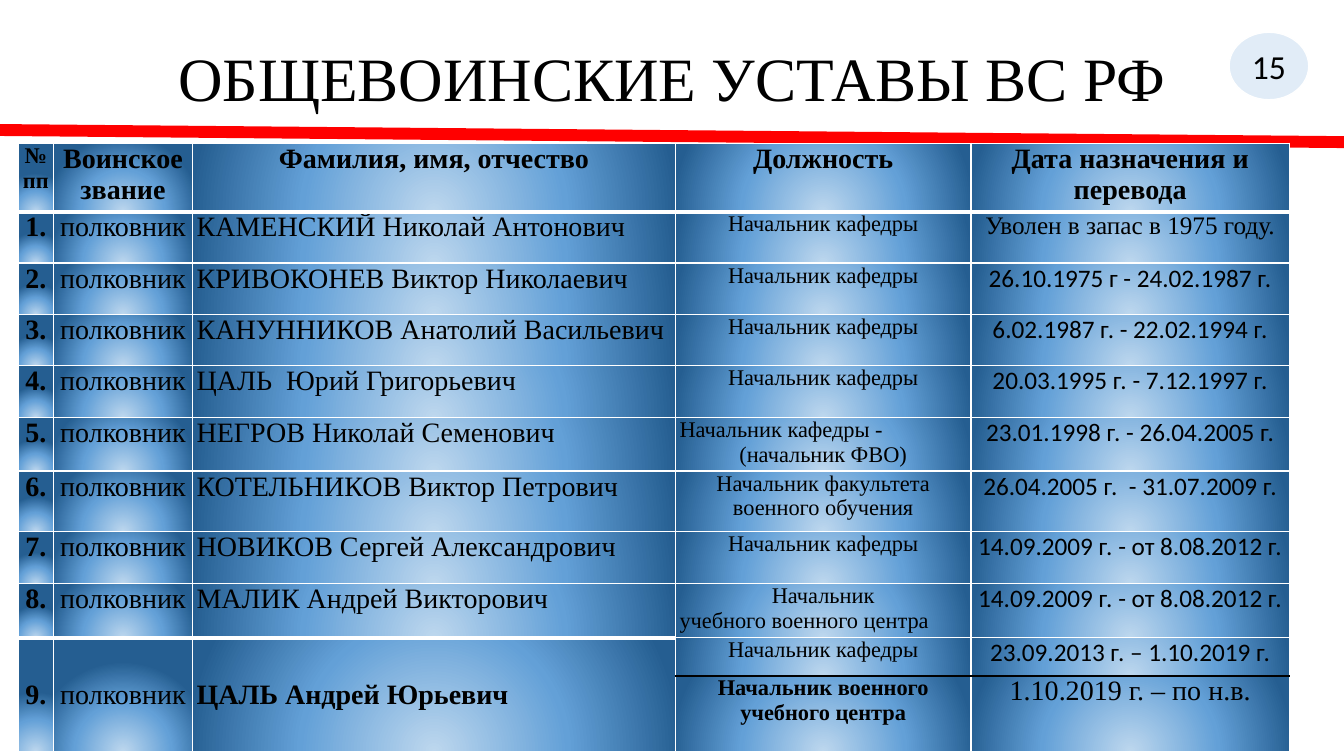
from dataclasses import dataclass

from pptx import Presentation
from pptx.dml.color import RGBColor
from pptx.enum.shapes import MSO_CONNECTOR, MSO_SHAPE
from pptx.enum.text import MSO_ANCHOR, PP_ALIGN
from pptx.oxml import parse_xml
from pptx.oxml.ns import qn
from pptx.util import Inches, Pt

TITLE = "ОБЩЕВОИНСКИЕ УСТАВЫ ВС РФ"
PAGE_NUMBER = "15"
HEADINGS = ["№\nпп", "Воинское звание", "Фамилия, имя, отчество", "Должность",
            "Дата назначения и перевода"]
RANK = "полковник"
CHAIR = "Начальник кафедры"
# Each officer: name, then a (position, dates) pair for every post held.
OFFICERS = [
    ("КАМЕНСКИЙ Николай Антонович", [(CHAIR, "Уволен в запас в 1975 году.")]),
    ("КРИВОКОНЕВ Виктор Николаевич", [(CHAIR, "26.10.1975 г - 24.02.1987 г.")]),
    ("КАНУННИКОВ Анатолий Васильевич", [(CHAIR, "6.02.1987 г. - 22.02.1994 г.")]),
    ("ЦАЛЬ  Юрий Григорьевич", [(CHAIR, "20.03.1995 г. - 7.12.1997 г.")]),
    ("НЕГРОВ Николай Семенович",
     [("Начальник кафедры -\n(начальник ФВО)", "23.01.1998 г. - 26.04.2005 г.")]),
    ("КОТЕЛЬНИКОВ Виктор Петрович",
     [("Начальник факультета военного обучения", "26.04.2005 г.  - 31.07.2009 г.")]),
    ("НОВИКОВ Сергей Александрович", [(CHAIR, "14.09.2009 г. - от 8.08.2012 г.")]),
    ("МАЛИК Андрей Викторович",
     [("Начальник\nучебного военного центра", "14.09.2009 г. - от 8.08.2012 г.")]),
    ("ЦАЛЬ Андрей Юрьевич",
     [(CHAIR, "23.09.2013 г. – 1.10.2019 г."),
      ("Начальник военного учебного центра", "1.10.2019 г. – по н.в.")]),
]
LEFT_ALIGNED = {"Начальник кафедры -", "учебного военного центра"}
COLUMN_WIDTHS = [0.35, 1.38, 4.79, 2.93, 3.16]
ROW_HEIGHTS = [0.68, 0.51, 0.51, 0.51, 0.51, 0.52, 0.6, 0.52, 0.52, 0.38, 0.75]


@dataclass(frozen=True)
class Theme:
    serif: str = "Times New Roman"
    sans: str = "Calibri"
    ink: str = "000000"
    white: str = "FFFFFF"
    red: str = "FF0000"
    badge: str = "5B9BD5"
    gradient: tuple = ((0, "BDD7EE"), (54, "63A0D7"), (100, "255E91"))
    title: int = 44
    badge_text: int = 24
    body: int = 20
    dates: int = 18
    small: int = 16


THEME = Theme()
CENTER, LEFT = PP_ALIGN.CENTER, PP_ALIGN.LEFT
XMLNS = 'xmlns:a="http://schemas.openxmlformats.org/drawingml/2006/main"'


def write(frame, text, size, font=THEME.serif, bold=False, align=CENTER):
    """Fill a text frame, one paragraph for each line of text."""
    for index, line in enumerate(text.split("\n")):
        paragraph = frame.add_paragraph() if index else frame.paragraphs[0]
        paragraph.alignment = LEFT if line in LEFT_ALIGNED else align
        run = paragraph.add_run()
        run.text = line
        run.font.size = Pt(size)
        run.font.name = font
        run.font.bold = bold
        run.font.color.rgb = RGBColor.from_string(THEME.ink)


def paint(cell, top=(THEME.white, 1), bottom=(THEME.white, 1)):
    """Give a cell its borders (colour, points) and its radial gradient."""
    properties = cell._tc.get_or_add_tcPr()
    side = (THEME.white, 1)
    for tag, (color, width) in zip(("lnL", "lnR", "lnT", "lnB"), (side, side, top, bottom)):
        properties.append(parse_xml(
            f'<a:{tag} {XMLNS} w="{Pt(width)}"><a:solidFill><a:srgbClr val="{color}"/>'
            f'</a:solidFill></a:{tag}>'))
    stops = "".join(f'<a:gs pos="{position * 1000}"><a:srgbClr val="{color}"/></a:gs>'
                    for position, color in THEME.gradient)
    properties.append(parse_xml(
        f'<a:gradFill {XMLNS} rotWithShape="1"><a:gsLst>{stops}</a:gsLst><a:path path="circle">'
        '<a:fillToRect l="50000" t="130000" r="50000" b="-30000"/></a:path></a:gradFill>'))


def add_title(slide):
    box = slide.shapes.add_textbox(Inches(0.92), Inches(0.4), Inches(11.5), Inches(1.45))
    frame = box.text_frame
    frame.word_wrap = True
    frame.vertical_anchor = MSO_ANCHOR.MIDDLE
    frame.margin_bottom = Inches(0.68)
    write(frame, TITLE, THEME.title)
    frame.paragraphs[0].line_spacing = 0.9


def add_rule(slide):
    rule = slide.shapes.add_connector(MSO_CONNECTOR.STRAIGHT, 0, Inches(1.29),
                                      Inches(13.33), Inches(1.41))
    rule.line.color.rgb = RGBColor.from_string(THEME.red)
    rule.line.width = Pt(8.5)
    rule._element.spPr.append(parse_xml(f"<a:effectLst {XMLNS}/>"))


def add_page_badge(slide):
    badge = slide.shapes.add_shape(MSO_SHAPE.OVAL, Inches(12.19), Inches(0.32),
                                   Inches(0.79), Inches(0.67))
    badge.shadow.inherit = False
    badge.fill.solid()
    badge.fill.fore_color.rgb = RGBColor.from_string(THEME.badge)
    color = badge._element.spPr.find(qn("a:solidFill"))[0]
    color.append(parse_xml(f'<a:alpha {XMLNS} val="18000"/>'))
    badge.line.color.rgb = RGBColor.from_string(THEME.white)
    badge.line.width = Pt(1)
    frame = badge.text_frame
    frame.margin_left = frame.margin_right = 0
    frame.vertical_anchor = MSO_ANCHOR.MIDDLE
    write(frame, PAGE_NUMBER, THEME.badge_text, THEME.sans)


def add_officers(slide):
    table = slide.shapes.add_table(
        len(ROW_HEIGHTS), len(COLUMN_WIDTHS), Inches(0.18), Inches(1.42),
        Inches(sum(COLUMN_WIDTHS)), Inches(sum(ROW_HEIGHTS))).table
    table.first_row = table.horz_banding = False
    for column, width in zip(table.columns, COLUMN_WIDTHS):
        column.width = Inches(width)
    for row, height in zip(table.rows, ROW_HEIGHTS):
        row.height = Inches(height)
    for cell in table.iter_cells():
        cell.margin_left = cell.margin_right = Inches(0.04)
        cell.margin_top = cell.margin_bottom = 0

    thick, thin, dark = (THEME.white, 3), (THEME.white, 1), (THEME.ink, 1)
    for column, heading in enumerate(HEADINGS):
        cell = table.cell(0, column)
        write(cell.text_frame, heading, THEME.body if column else THEME.small, bold=True)
        paint(cell, bottom=thick)

    first = 1
    for number, (name, posts) in enumerate(OFFICERS, 1):
        several = len(posts) > 1
        last = first + len(posts) - 1
        details = [(f"{number}.", True, CENTER), (RANK, False, CENTER), (name, several, LEFT)]
        for column, (text, bold, align) in enumerate(details):
            cell = table.cell(first, column)
            write(cell.text_frame, text, THEME.body, bold=bold, align=align)
            if several:
                cell.merge(table.cell(last, column))
                cell.vertical_anchor = MSO_ANCHOR.MIDDLE
            for row in range(first, last + 1):
                edge = thick if first == 1 or several and row == first else thin
                paint(table.cell(row, column), top=edge)

        for row, (position, dates) in enumerate(posts, first):
            current = several and row == last
            top = thick if row == 1 else dark if row > first else thin
            bottom = dark if row < last else thin
            position_cell, dates_cell = table.cell(row, 3), table.cell(row, 4)
            write(position_cell.text_frame, position, THEME.small, bold=current)
            write(dates_cell.text_frame, dates, THEME.body if current else THEME.dates,
                  THEME.serif if current or row == 1 else THEME.sans)
            for cell in (position_cell, dates_cell):
                paint(cell, top, bottom)
        first = last + 1


def main():
    deck = Presentation()
    deck.slide_width, deck.slide_height = Inches(13.33), Inches(7.5)
    slide = deck.slides.add_slide(deck.slide_layouts[6])
    add_title(slide)
    add_rule(slide)
    add_page_badge(slide)
    add_officers(slide)
    deck.save("out.pptx")


if __name__ == "__main__":
    main()
